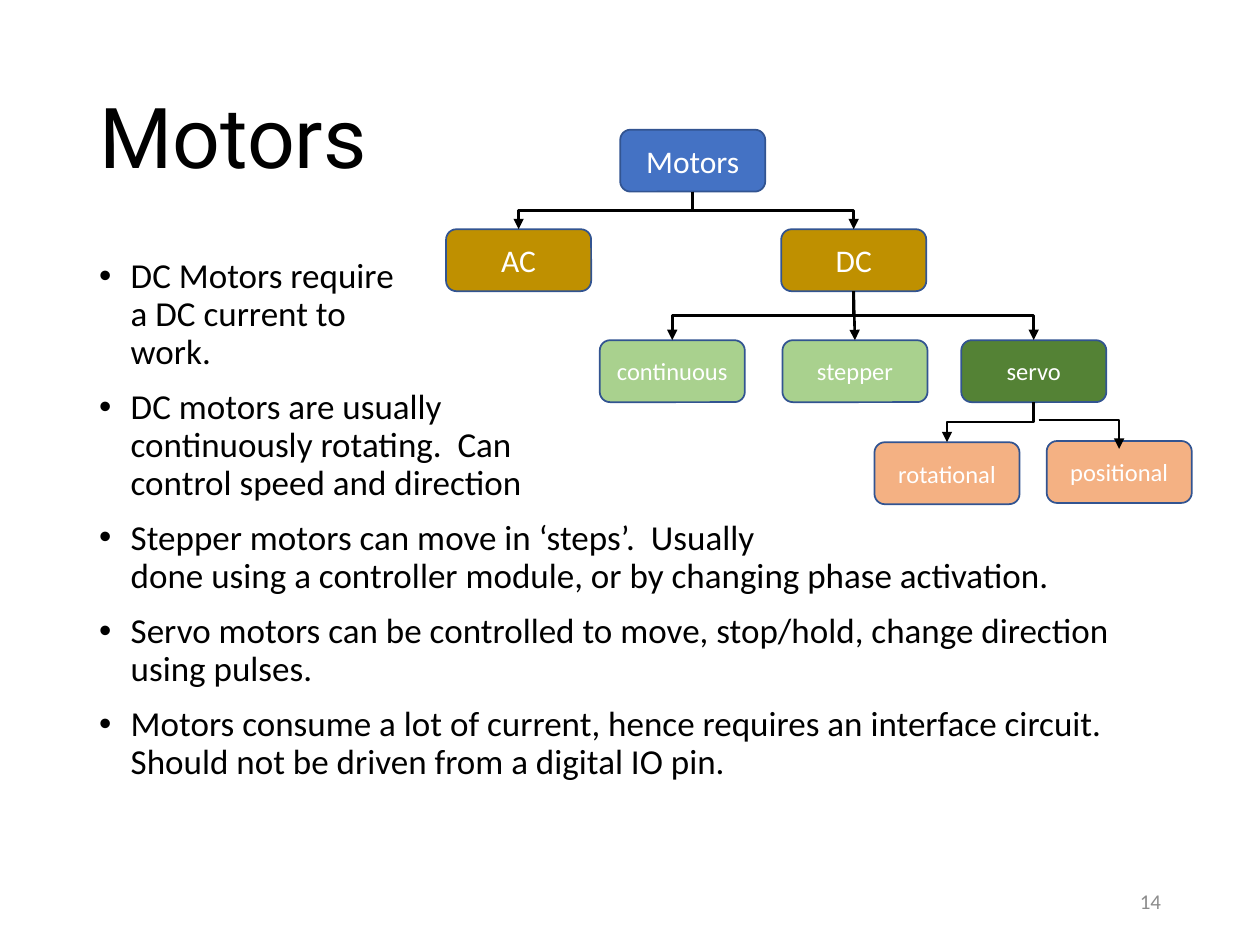
from pptx import Presentation
from pptx.dml.color import RGBColor
from pptx.enum.shapes import MSO_CONNECTOR, MSO_SHAPE
from pptx.enum.text import MSO_ANCHOR, MSO_AUTO_SIZE, PP_ALIGN
from pptx.oxml.ns import qn
from pptx.util import Pt
from lxml.etree import SubElement

BLACK = RGBColor(0x00, 0x00, 0x00)
WHITE = RGBColor(0xFF, 0xFF, 0xFF)
GRAY = RGBColor(0x8C, 0x8C, 0x8C)
BLUE = RGBColor(0x44, 0x72, 0xC4)
OUTLINE = RGBColor(0x32, 0x54, 0x91)
GOLD = RGBColor(0xBF, 0x90, 0x00)
LIGHT_GREEN = RGBColor(0xA9, 0xD1, 0x8E)
GREEN = RGBColor(0x54, 0x82, 0x35)
ORANGE = RGBColor(0xF4, 0xB1, 0x83)

BOX_W, BOX_H = 82.9, 35.4

BULLETS = [
    "DC Motors require\na DC current to\nwork.",
    "DC motors are usually\ncontinuously rotating.  Can\ncontrol speed and direction",
    "Stepper motors can move in ‘steps’.  Usually\n"
    "done using a controller module, or by changing phase activation.",
    "Servo motors can be controlled to move, stop/hold, change direction using pulses.",
    "Motors consume a lot of current, hence requires an interface circuit.\n"
    "Should not be driven from a digital IO pin.",
]

# name: (left, top, fill, text size)
NODES = {
    "Motors": (354.4, 74.1, BLUE, 18),
    "AC": (254.9, 131, GOLD, 18),
    "DC": (446.4, 131, GOLD, 18),
    "continuous": (342.7, 194.4, LIGHT_GREEN, 14),
    "stepper": (447.1, 194.4, LIGHT_GREEN, 14),
    "servo": (549.3, 194.4, GREEN, 14),
    "rotational": (499.7, 252.7, ORANGE, 14),
    "positional": (598.1, 252, ORANGE, 14),
}

BRANCHES = [
    ("Motors", "AC"), ("Motors", "DC"),
    ("DC", "continuous"), ("DC", "servo"), ("DC", "stepper"),
    ("servo", "rotational"),
]


def place(sp, left, top, width, height):
    box = {"left": left, "top": top, "width": width, "height": height}
    for name, value in box.items():
        setattr(sp, name, Pt(value))


def write(p, text, size, color, font="Calibri", **paragraph_format):
    p.text = text
    for name, value in paragraph_format.items():
        setattr(p, name, value)
    for r in p.runs:
        r.font.color.rgb = color
        for name, value in {"size": Pt(size), "name": font}.items():
            setattr(r.font, name, value)


def fill_title(sp, text):
    place(sp, 49.5, 28.8, 621, 104.4)
    tf = sp.text_frame
    tf.auto_size = MSO_AUTO_SIZE.NONE
    tf.vertical_anchor = MSO_ANCHOR.MIDDLE
    write(tf.paragraphs[0], text, 48, BLACK, "Roboto",
          alignment=PP_ALIGN.LEFT, line_spacing=0.9)


def fill_body(sp, bullets):
    place(sp, 49.5, 144, 621, 342.7)
    tf = sp.text_frame
    tf.auto_size = MSO_AUTO_SIZE.NONE
    for i, text in enumerate(bullets):
        p = tf.add_paragraph() if i else tf.paragraphs[0]
        write(p, text, 20, BLACK, line_spacing=0.9, space_before=Pt(10))
        pPr = p._p.get_or_add_pPr()
        pPr.set("marL", str(Pt(18)))
        pPr.set("indent", str(-Pt(18)))
        SubElement(pPr, qn("a:buFont"), typeface="Arial")
        SubElement(pPr, qn("a:buChar"), char="•")


def add_page_number(slide, text):
    sp = slide.shapes.add_textbox(Pt(508.5), Pt(500.5), Pt(162), Pt(28.8))
    tf = sp.text_frame
    tf.word_wrap = True
    tf.vertical_anchor = MSO_ANCHOR.MIDDLE
    write(tf.paragraphs[0], text, 12, GRAY, alignment=PP_ALIGN.RIGHT)


def add_node(slide, text, left, top, fill, size):
    sp = slide.shapes.add_shape(MSO_SHAPE.ROUNDED_RECTANGLE, Pt(left), Pt(top),
                                Pt(BOX_W), Pt(BOX_H))
    sp.shadow.inherit = False
    sp.fill.solid()
    sp.fill.fore_color.rgb = fill
    sp.line.color.rgb = OUTLINE
    sp.line.width = Pt(1)
    tf = sp.text_frame
    tf.vertical_anchor = MSO_ANCHOR.MIDDLE
    write(tf.paragraphs[0], text, size, WHITE, alignment=PP_ALIGN.CENTER)


def add_arrow(slide, kind, x1, y1, x2, y2):
    cxn = slide.shapes.add_connector(kind, Pt(x1), Pt(y1), Pt(x2), Pt(y2))
    cxn.line.color.rgb = BLACK
    cxn.line.width = Pt(1.5)
    SubElement(cxn.line._get_or_add_ln(), qn("a:tailEnd"), type="triangle")
    SubElement(cxn._element.spPr, qn("a:effectLst"))
    return cxn


def add_branch(slide, parent, child):
    """Run an arrow from the bottom of one node to the top of another."""
    x1, y1 = NODES[parent][0] + BOX_W / 2, NODES[parent][1] + BOX_H
    x2, y2 = NODES[child][0] + BOX_W / 2, NODES[child][1]
    if abs(x2 - x1) < 1:
        add_arrow(slide, MSO_CONNECTOR.STRAIGHT, x1, y1, x2, y2)
        return
    # An elbow starts out sideways, so it is drawn lying down and turned.
    cx, cy = (x1 + x2) / 2, (y1 + y2) / 2
    half_w, half_h = (y2 - y1) / 2, abs(x2 - x1) / 2
    rotation = 90
    if x2 > x1:
        half_w, rotation = -half_w, 270
    cxn = add_arrow(slide, MSO_CONNECTOR.ELBOW, cx - half_w, cy - half_h,
                    cx + half_w, cy + half_h)
    cxn._element.spPr.find(qn("a:xfrm")).set("rot", str(rotation * 60000))


def add_corner(slide, x1, y1, x2, y2):
    """Run an arrow sideways and then down, with one bend."""
    cxn = add_arrow(slide, MSO_CONNECTOR.ELBOW, x1, y1, x2, y2)
    cxn._element.spPr.find(qn("a:prstGeom")).set("prst", "bentConnector2")


def main():
    prs = Presentation()
    prs.slide_width, prs.slide_height = Pt(720), Pt(540)
    slide = prs.slides.add_slide(prs.slide_layouts[1])
    fill_title(slide.shapes.title, "Motors")
    fill_body(slide.placeholders[1], BULLETS)
    add_page_number(slide, "14")
    for text, node in NODES.items():
        add_node(slide, text, *node)
    for parent, child in BRANCHES:
        add_branch(slide, parent, child)
    add_corner(slide, 593.5, 240, 639.5, 256.5)
    prs.save("out.pptx")


if __name__ == "__main__":
    main()
